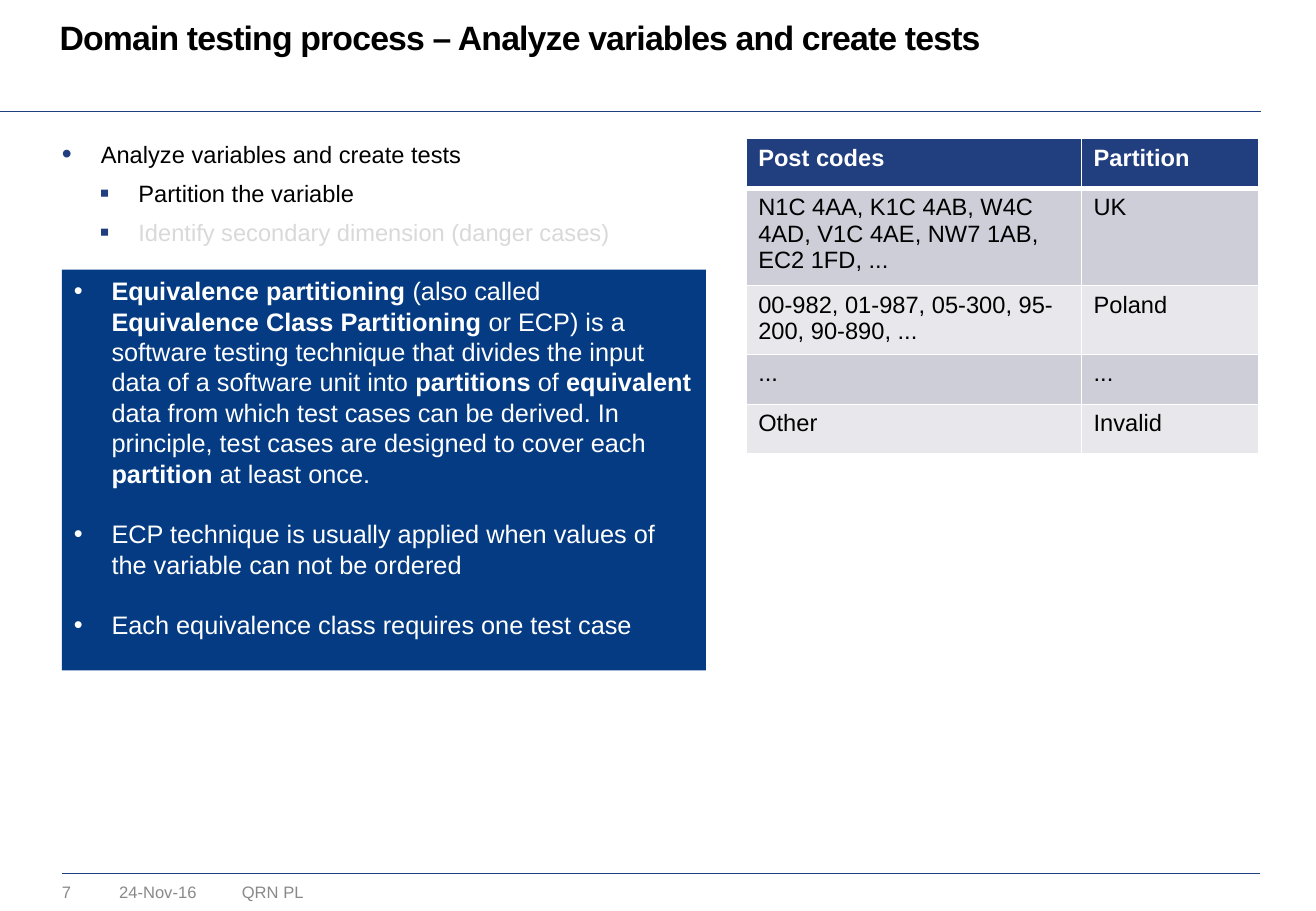
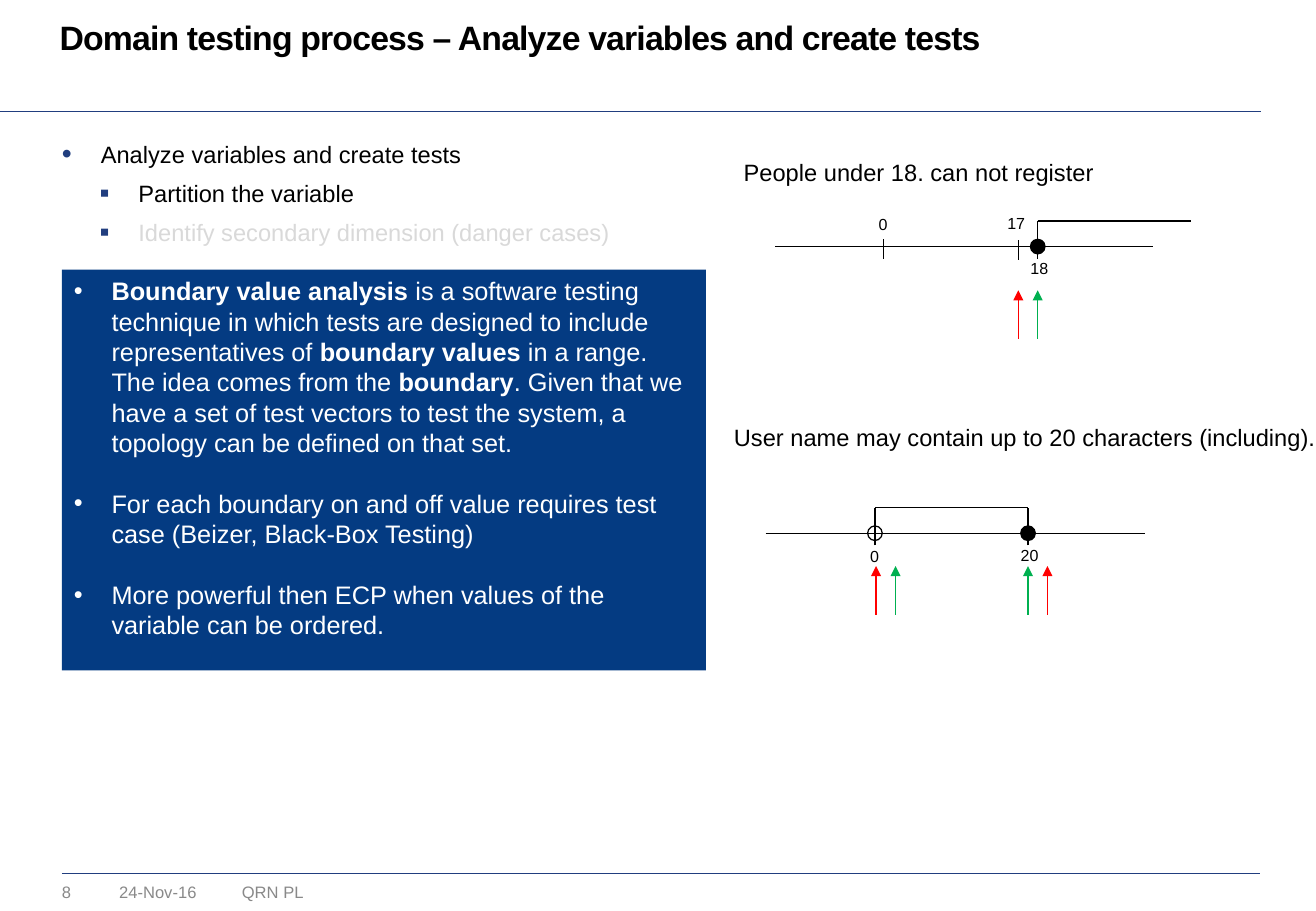
"""Builds two slides on equivalence partitioning and boundary value analysis."""
from lxml import etree
from pptx import Presentation
from pptx import util as u
from pptx.dml.color import RGBColor
from pptx.enum import shapes, text
from pptx.oxml.ns import qn

COLORS = {
    "navy": "213E7F", "panel": "043B82", "black": "000000", "white": "FFFFFF",
    "footer": "898989", "faded": "D9D9D9", "band": "CDCED8", "light": "E8E8EC",
    "on": "00B050", "off": "FF0000",
}


class Deck:
    font = "Arial"
    heading = "Domain testing process – Analyze variables and create tests"
    agenda = [
        ("Analyze variables and create tests", 0, "black"),
        ("Partition the variable", 1, "black"),
        ("Identify secondary dimension (danger cases)", 1, "faded"),
    ]

    def __init__(self):
        self.prs = Presentation()
        self.prs.slide_width = u.Inches(10.83)
        self.prs.slide_height = u.Inches(7.5)
        self.slide = None

    def rgb(self, color):
        return RGBColor.from_string(COLORS[color])

    def style(self, paragraph, size, color, bold=False):
        for run in paragraph.runs:
            run.font.name = self.font
            run.font.size = u.Pt(size)
            run.font.bold = bold
            run.font.color.rgb = self.rgb(color)

    def bullet(self, paragraph, char, margin, hang, color=None):
        props = paragraph._p.get_or_add_pPr()
        props.set("marL", str(u.Inches(margin)))
        props.set("indent", str(-u.Inches(hang)))
        if color:
            tint = etree.SubElement(props, qn("a:buClr"))
            etree.SubElement(tint, qn("a:srgbClr"), val=COLORS[color])
            etree.SubElement(props, qn("a:buSzPct"), val="120000")
        etree.SubElement(props, qn("a:buFont"), typeface=self.font)
        etree.SubElement(props, qn("a:buChar"), char=char)

    def frame(self, left, top, width, height):
        box = self.slide.shapes.add_textbox(*map(u.Inches, (left, top, width, height)))
        frame = box.text_frame
        frame.word_wrap = True
        frame.margin_left = frame.margin_right = 0
        frame.margin_top = frame.margin_bottom = 0
        return frame

    def label(self, words, left, top, width, height, size, color="black", bold=False):
        paragraph = self.frame(left, top, width, height).paragraphs[0]
        paragraph.text = words
        self.style(paragraph, size, color, bold)
        return paragraph

    def line(self, x1, y1, x2, y2, color="black", weight=0.75, arrow=False):
        line = self.slide.shapes.add_connector(
            shapes.MSO_CONNECTOR.STRAIGHT, *map(u.Inches, (x1, y1, x2, y2)))
        line.line.color.rgb = self.rgb(color)
        line.line.width = u.Pt(weight)
        if arrow:
            etree.SubElement(line.line._get_or_add_ln(), qn("a:tailEnd"), type="triangle")
        etree.SubElement(line._element.spPr, qn("a:effectLst"))

    def start(self, number):
        self.slide = self.prs.slides.add_slide(self.prs.slide_layouts[6])
        self.line(0.51, 7.19, 10.37, 7.19, "navy", 0.25)
        self.line(-0.01, 0.92, 10.38, 0.92, "navy", 0.25)
        for words, left, width in (
                ("QRN PL", 1.99, 1.41), (str(number), 0.51, 0.39), ("24-Nov-16", 0.98, 0.89)):
            self.label(words, left, 7.26, width, 0.16, 9.8, "footer")
        self.topics()
        title = self.label(self.heading, 0.49, 0.17, 9.93, 0.31, 20, bold=True)
        title.line_spacing = u.Pt(21.7)
        title.runs[0].font._element.set("spc", "-50")

    def topics(self):
        frame = self.frame(0.51, 1.15, 4.64, 1.37)
        for index, (words, level, color) in enumerate(self.agenda):
            topic = frame.add_paragraph() if index else frame.paragraphs[0]
            topic.text = words
            topic.level = level
            topic.space_before = topic.space_after = u.Pt(3.2)
            self.bullet(topic, "•▪"[level], (0.32, 0.63)[level], 0.32, "navy")
            self.style(topic, 14, color)

    def panel(self, points):
        panel = self.slide.shapes.add_shape(
            shapes.MSO_SHAPE.RECTANGLE, *map(u.Inches, (0.51, 2.22, 5.3, 3.3)))
        panel.shadow.inherit = False
        panel.fill.solid()
        panel.fill.fore_color.rgb = self.rgb("panel")
        panel.line.fill.background()
        frame = panel.text_frame
        frame.word_wrap = True
        frame.vertical_anchor = text.MSO_ANCHOR.TOP
        for index, words in enumerate(points):
            point = frame.add_paragraph() if index else frame.paragraphs[0]
            point.alignment = text.PP_ALIGN.LEFT
            point.space_before = u.Pt(18 if index else 0)
            self.bullet(point, "•", 0.31, 0.31)
            parts = words.split("*")
            for part in parts:
                point.add_run().text = part
            self.style(point, 15, "white")
            for term in point.runs[1::2]:
                term.font.bold = True
            for run in point.runs:
                if not run.text:
                    point._p.remove(run._r)

    def table(self, rows, left, top, widths, height):
        table = self.slide.shapes.add_table(
            len(rows), len(widths), u.Inches(left), u.Inches(top),
            u.Inches(sum(widths)), u.Inches(height * len(rows))).table
        for column, width in zip(table.columns, widths):
            column.width = u.Inches(width)
        for r, row in enumerate(rows):
            fill = "navy" if r == 0 else ("light", "band")[r % 2]
            for c, words in enumerate(row):
                cell = table.cell(r, c)
                cell.text = words
                self.style(cell.text_frame.paragraphs[0], 14,
                           "black" if r else "white", r == 0)
                self.borders(cell, top=3 if r == 1 else 1, bottom=1 if r else 3)
                cell.fill.solid()
                cell.fill.fore_color.rgb = self.rgb(fill)

    def borders(self, cell, top, bottom):
        props = cell._tc.get_or_add_tcPr()
        for side, weight in (("L", 1), ("R", 1), ("T", top), ("B", bottom)):
            edge = etree.SubElement(props, qn("a:ln" + side), w=str(u.Pt(weight)))
            solid = etree.SubElement(edge, qn("a:solidFill"))
            etree.SubElement(solid, qn("a:srgbClr"), val=COLORS["white"])

    def tick_label(self, words, left, top):
        paragraph = self.label(words, left, top, 0.08 if len(words) == 1 else 0.22, 0.16, 9.5)
        paragraph.space_before = paragraph.space_after = u.Pt(1)

    def endpoint(self, x, y, closed):
        size = 0.12
        dot = self.slide.shapes.add_shape(
            shapes.MSO_SHAPE.OVAL, *map(u.Inches, (x - size / 2, y - size / 2, size, size)))
        dot.shadow.inherit = False
        if closed:
            dot.fill.solid()
            dot.fill.fore_color.rgb = self.rgb("black")
        else:
            dot.fill.background()
        dot.line.color.rgb = self.rgb("black")
        dot.line.width = u.Pt(0.75)

    def number_line(self, axis, y, interval, endpoints, labels, tests, ticks=()):
        self.line(axis[0], y, axis[1], y)
        self.line(interval[0], y - 0.21, interval[1], y - 0.21)
        for x, closed in endpoints:
            self.line(x, y + 0.1, x, y - 0.21)
            self.endpoint(x, y, closed)
        for x, middle in ticks:
            self.line(x, middle + 0.08, x, middle - 0.08)
        for label in labels:
            self.tick_label(*label)
        for x, kind, tip in tests:
            self.line(x, tip + 0.4, x, tip, kind, arrow=True)


deck = Deck()

deck.start(7)
deck.panel([
    "*Equivalence partitioning* (also called *Equivalence Class Partitioning* or ECP) is a "
    "software testing technique that divides the input data of a software unit into "
    "*partitions* of *equivalent* data from which test cases can be derived. In principle, "
    "test cases are designed to cover each *partition* at least once.",
    "ECP technique is usually applied when values of the variable can not be ordered",
    "Each equivalence class requires one test case",
])
deck.table([
    ("Post codes", "Partition"),
    ("N1C 4AA, K1C 4AB, W4C 4AD, V1C 4AE, NW7 1AB, EC2 1FD, ...", "UK"),
    ("00-982, 01-987, 05-300, 95-200, 90-890, ...", "Poland"),
    ("...", "..."),
    ("Other", "Invalid"),
], 6.14, 1.14, (2.76, 1.46), 0.41)

deck.start(8)
deck.panel([
    "*Boundary value analysis* is a software testing technique in which tests are designed "
    "to include representatives of *boundary values* in a range. The idea comes from the "
    "*boundary*. Given that we have a set of test vectors to test the system, a topology "
    "can be defined on that set.",
    "For each boundary on and off value requires test case (Beizer, Black-Box Testing)",
    "More powerful then ECP when values of the variable can be ordered.",
])
deck.label("User name may contain up to 20 characters (including).", 6.04, 3.48, 5, 0.24, 14)
deck.number_line(
    axis=(6.3, 9.42), y=4.39, interval=(7.2, 8.46),
    endpoints=[(7.2, False), (8.46, True)],
    labels=[("0", 7.16, 4.5), ("20", 8.4, 4.49)],
    tests=[(7.37, "on", 4.66), (7.21, "off", 4.66), (8.46, "on", 4.66), (8.62, "off", 4.66)])
deck.label("People under 18. can not register", 6.12, 1.3, 5, 1.19, 14)
deck.number_line(
    axis=(6.38, 9.49), y=2.03, interval=(8.54, 9.8),
    endpoints=[(8.54, True)],
    labels=[("0", 7.23, 1.77), ("18", 8.48, 2.13), ("17", 8.29, 1.76)],
    tests=[(8.54, "on", 2.39), (8.38, "off", 2.39)],
    ticks=[(7.27, 2.05), (8.38, 2.06)])

deck.prs.save("out.pptx")
